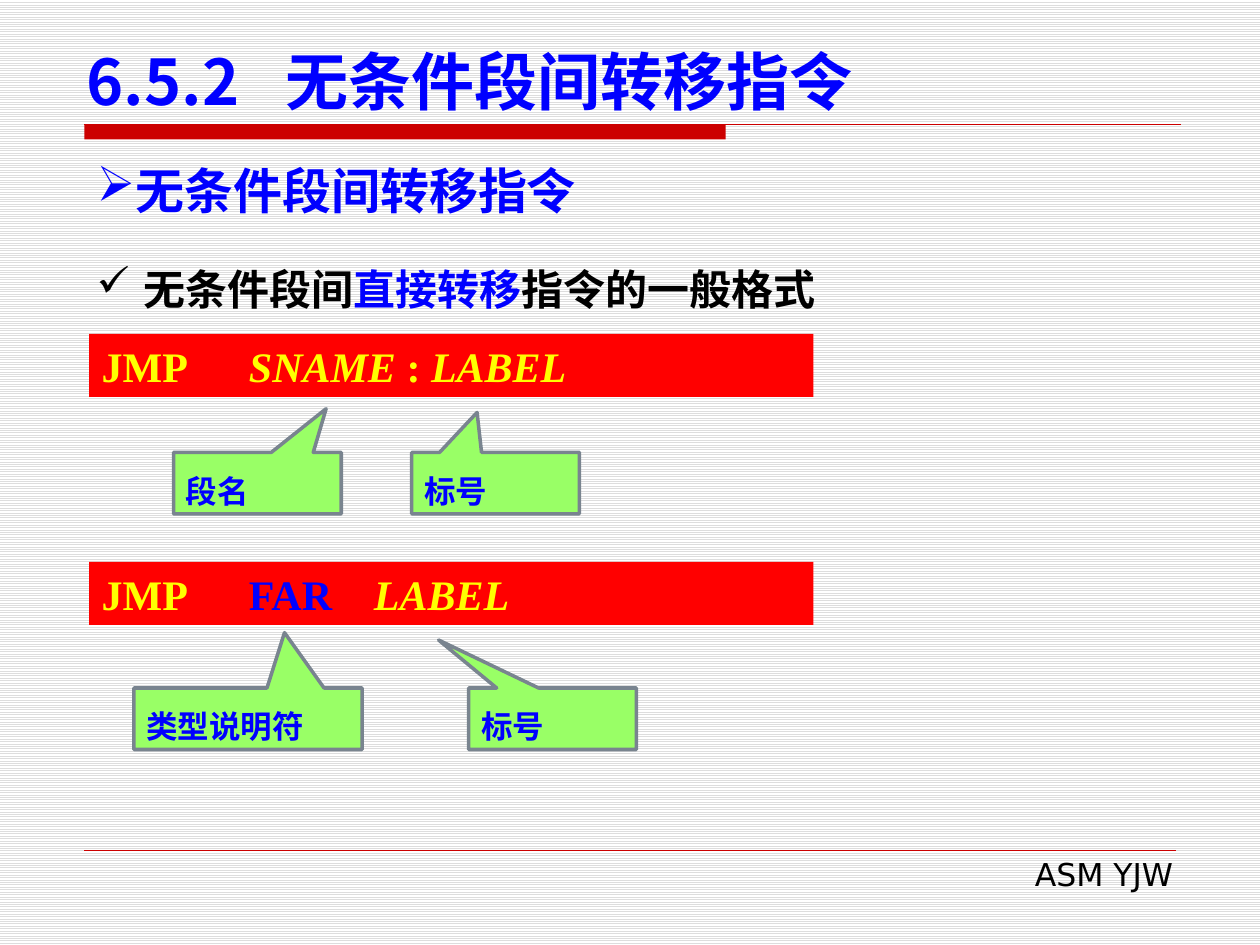
from lxml.etree import SubElement
from pptx import Presentation
from pptx.dml.color import RGBColor
from pptx.enum.dml import MSO_PATTERN
from pptx.enum.shapes import MSO_CONNECTOR, MSO_SHAPE
from pptx.enum.text import MSO_ANCHOR, PP_ALIGN
from pptx.oxml.ns import qn
from pptx.util import Cm, Pt

C = {"blue": "0000FF", "black": "000000", "yellow": "FFFF00", "red": "FF0000",
     "rule": "CC0000", "green": "99FF66", "gray": "79848F",
     "stripe": "DDDDDD", "white": "FFFFFF"}
SANS, CJK, SERIF = "DejaVu Sans", "Noto Sans CJK SC", "Times New Roman"


def rgb(name):
    return RGBColor.from_string(C[name])


def write(sp, runs, size, font, bold=True, align=PP_ALIGN.LEFT,
          anchor=MSO_ANCHOR.TOP, spacing=None, bullet=None, indent=0, tabs=()):
    tf = sp.text_frame
    tf.word_wrap = True
    tf.vertical_anchor = anchor
    p = tf.paragraphs[0]
    p.alignment = align
    p.line_spacing = spacing
    pPr = p._p.get_or_add_pPr()
    if bullet:
        pPr.set("marL", str(Cm(indent)))
        pPr.set("indent", str(-Cm(indent)))
        SubElement(pPr, qn("a:buChar"), char=bullet)
    if tabs:
        tabLst = SubElement(pPr, qn("a:tabLst"))
        for pos in tabs:
            SubElement(tabLst, qn("a:tab"), pos=str(Cm(pos)), algn="l")
    for text, color, italic in runs:
        r = p.add_run()
        r.text = text
        r.font.size = Pt(size)
        r.font.bold = bold
        r.font.italic = italic
        r.font.color.rgb = rgb(color)
        r.font.name = font
        SubElement(r._r.get_or_add_rPr(), qn("a:ea"), typeface=CJK)


prs = Presentation()
prs.slide_width, prs.slide_height = Cm(25.4), Cm(19.05)
s = prs.slides.add_slide(prs.slide_layouts[6])
bg = s.background.fill
bg.patterned()
bg.pattern = MSO_PATTERN.LIGHT_HORIZONTAL
bg.fore_color.rgb = rgb("stripe")
bg.back_color.rgb = rgb("white")

title_bar = s.shapes.add_shape(MSO_SHAPE.RECTANGLE, Cm(1.7), Cm(2.51), Cm(12.93), Cm(0.3))
title_bar.shadow.inherit = False
title_bar.fill.solid()
title_bar.fill.fore_color.rgb = rgb("rule")
title_bar.line.fill.background()

for y, right, width in [(2.51, 23.8, 0.75), (17.15, 23.7, 0.25)]:
    rule = s.shapes.add_connector(MSO_CONNECTOR.STRAIGHT, Cm(1.7), Cm(y), Cm(right), Cm(y))
    rule.line.color.rgb = rgb("rule")
    rule.line.width = Pt(width)
    SubElement(rule._element.spPr, qn("a:effectLst"))

texts = [
    (9.7, 17.12, 14.2, 1.02, [("ASM YJW", "black", False)],
     dict(size=18, font=SANS, bold=False, align=PP_ALIGN.RIGHT)),
    (1.5, 0.71, 23, 1.8, [("6.5.2\t无条件段间转移指令", "blue", False)],
     dict(size=36, font=CJK, anchor=MSO_ANCHOR.BOTTOM, tabs=[4])),
    (1.7, 3.12, 22, 1.45, [("无条件段间转移指令", "blue", False)],
     dict(size=28, font=SANS, align=PP_ALIGN.JUSTIFY, bullet="➢")),
    (1.7, 4.93, 22.4, 1.55,
     [("无条件段间", "black", False), ("直接转移", "blue", False),
      ("指令的一般格式", "black", False)],
     dict(size=24, font=CJK, spacing=Pt(36), bullet="✓", indent=0.95)),
]
for x, y, w, h, runs, fmt in texts:
    write(s.shapes.add_textbox(Cm(x), Cm(y), Cm(w), Cm(h)), runs, **fmt)

formats = [
    (6.73, [("JMP\t", "yellow", False), ("SNAME", "yellow", True),
            (" : ", "yellow", False), ("LABEL", "yellow", True)]),
    (11.33, [("JMP\t", "yellow", False), ("FAR\t", "blue", False),
             ("LABEL", "yellow", True)]),
]
for y, runs in formats:
    sp = s.shapes.add_shape(MSO_SHAPE.RECTANGLE, Cm(1.8), Cm(y), Cm(14.6), Cm(1.27))
    sp.shadow.inherit = False
    sp.fill.solid()
    sp.fill.fore_color.rgb = rgb("red")
    sp.line.fill.background()
    write(sp, runs, size=24, font=SERIF, tabs=[2.97, 5.49])

callouts = [
    (3.5, 9.12, 3.38, "段名", 0.41, -1.21),
    (8.3, 9.12, 3.38, "标号", -0.11, -1.15),
    (9.45, 13.87, 3.38, "标号", -0.68, -1.28),
    (2.7, 13.87, 4.6, "类型说明符", 0.16, -1.4),
]
for x, y, w, text, tip_x, tip_y in callouts:
    sp = s.shapes.add_shape(MSO_SHAPE.RECTANGULAR_CALLOUT, Cm(x), Cm(y), Cm(w), Cm(1.24))
    sp.adjustments[0], sp.adjustments[1] = tip_x, tip_y
    sp.shadow.inherit = False
    sp.fill.solid()
    sp.fill.fore_color.rgb = rgb("green")
    sp.line.color.rgb = rgb("gray")
    sp.line.width = Pt(2)
    write(sp, [(text, "blue", False)], size=18, font=SANS,
          anchor=MSO_ANCHOR.MIDDLE, spacing=Pt(30))

prs.save("out.pptx")
